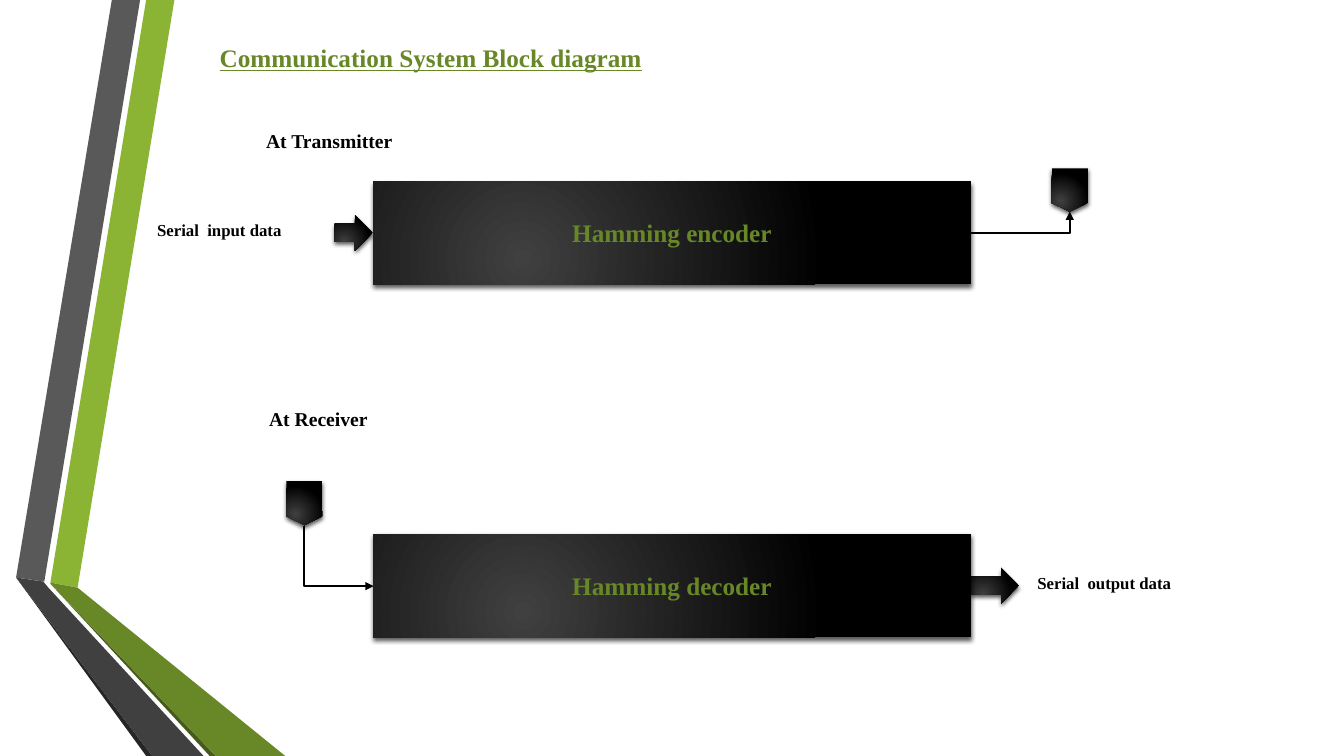
from lxml import etree
from pptx import Presentation
from pptx.dml.color import RGBColor as RGB
from pptx.enum.shapes import MSO_CONNECTOR as Link, MSO_SHAPE as Shape
from pptx.enum.text import MSO_ANCHOR as Anchor, MSO_AUTO_SIZE as Auto, PP_ALIGN as Align
from pptx.oxml import parse_xml
from pptx.oxml.ns import qn
from pptx.util import Inches, Pt

FONT = "Times New Roman"
HEX = {
    "black": "000000", "green": "688727", "lime": "8BB434", "olive": "465A1A",
    "gray": "595959", "dark": "404040", "deep": "262626",
}
NS = 'xmlns:a="http://schemas.openxmlformats.org/drawingml/2006/main"'
GLOW = f"""<a:gradFill {NS} rotWithShape="1"><a:gsLst>
<a:gs pos="0"><a:srgbClr val="{HEX['dark']}"/></a:gs>
<a:gs pos="100000"><a:srgbClr val="{HEX['black']}"/></a:gs></a:gsLst>
<a:path path="circle"><a:fillToRect l="50000" t="100000" r="100000" b="50000"/></a:path>
</a:gradFill>"""
SHADE = f"""<a:outerShdw {NS} blurRad="38100" dist="25400" dir="5400000" rotWithShape="0">
<a:srgbClr val="{HEX['black']}"><a:alpha val="64000"/></a:srgbClr></a:outerShdw>"""

deck = Presentation()
deck.slide_width, deck.slide_height = Inches(13.33), Inches(7.5)
slide = deck.slides.add_slide(deck.slide_layouts[6])
shapes = slide.shapes


def write(frame, text, size=12, color="black", align=Align.LEFT, line=False):
    frame.word_wrap = True
    par = frame.paragraphs[0]
    par.alignment = align
    run = par.add_run()
    run.text = text
    font = run.font
    font.name, font.size, font.bold, font.underline = FONT, Pt(size), True, line
    font.color.rgb = RGB.from_string(HEX[color])


# Ribbons on the left edge
ribbons = [
    ("lime", [(0.5, 5.78), (0.77, 5.83), (1.73, 0), (1.45, 0)]),
    ("gray", [(1.39, 0), (1.11, 0), (0.16, 5.73), (0.44, 5.77)]),
    ("deep", [(0.16, 5.73), (1.45, 7.5), (1.51, 7.5)]),
    ("olive", [(0.5, 5.79), (2.08, 7.5), (2.14, 7.5)]),
    ("green", [(0.5, 5.79), (2.14, 7.5), (2.83, 7.5), (0.77, 5.83), (0.5, 5.78)]),
    ("dark", [(2.02, 7.5), (0.48, 5.83), (0.43, 5.77), (0.16, 5.73), (1.51, 7.5)]),
]
for color, points in ribbons:
    first, *rest = [(Inches(x), Inches(y)) for x, y in points]
    pen = shapes.build_freeform(*first)
    pen.add_line_segments(rest, close=True)
    band = pen.convert_to_shape()
    band.shadow.inherit = False
    band.fill.solid()
    band.fill.fore_color.rgb = RGB.from_string(HEX[color])
    band.line.fill.background()

# Coder blocks, data arrows and page links
blocks = [
    (Shape.RIGHT_ARROW, 3.32, 2.13, 0.38, 0.36, ""),
    (Shape.RECTANGLE, 3.7, 1.8, 5.93, 1.02, "Hamming encoder"),
    (Shape.RIGHT_ARROW, 9.63, 5.63, 0.48, 0.36, ""),
    (Shape.RECTANGLE, 3.7, 5.3, 5.93, 1.02, "Hamming decoder"),
    (Shape.FLOWCHART_OFFPAGE_CONNECTOR, 10.43, 1.67, 0.36, 0.43, ""),
    (Shape.FLOWCHART_OFFPAGE_CONNECTOR, 2.84, 4.77, 0.36, 0.44, ""),
]
for kind, *place, text in blocks:
    block = shapes.add_shape(kind, *map(Inches, place))
    block.line.fill.background()
    block.shadow.inherit = False
    props = block._element.spPr
    props.find(qn("a:ln")).addprevious(parse_xml(GLOW))
    props.find(qn("a:effectLst")).append(parse_xml(SHADE))
    if text:
        block.text_frame.vertical_anchor = Anchor.MIDDLE
        write(block.text_frame, text, size=18, color="green", align=Align.CENTER)

# Elbow arrows: ends before the turn, then the turn in degrees
elbows = [((9.63, 2.31, 10.61, 2.1), 0), ((3.66, 5.17, 3.06, 5.86), 270)]
for ends, turn in elbows:
    wire = shapes.add_connector(Link.ELBOW, *map(Inches, ends))
    wire.line.color.rgb = RGB.from_string(HEX["black"])
    wire.line.width = Pt(1.75)
    props = wire._element.spPr
    props.find(qn("a:prstGeom")).set("prst", "bentConnector2")
    props.find(qn("a:xfrm")).set("rot", str(turn * 60000))
    etree.SubElement(props.find(qn("a:ln")), qn("a:tailEnd"), type="triangle")
    etree.SubElement(props, qn("a:effectLst"))

# Title and labels
labels = [
    ("Communication System Block diagram", 2.08, 0.37, 6.67, 0.4,
     dict(size=18, color="green", line=True)),
    ("Serial  input data", 1.46, 2.13, 1.77, 0.3, {}),
    ("Serial  output data", 10.19, 5.63, 1.9, 0.3, {}),
    ("At Transmitter", 2.54, 1.23, 3.15, 0.34, dict(size=14)),
    ("At Receiver", 2.57, 3.99, 3.15, 0.34, dict(size=14)),
]
for text, *place, style in labels:
    frame = shapes.add_textbox(*map(Inches, place)).text_frame
    write(frame, text, **style)
    frame.auto_size = Auto.SHAPE_TO_FIT_TEXT

deck.save("out.pptx")
